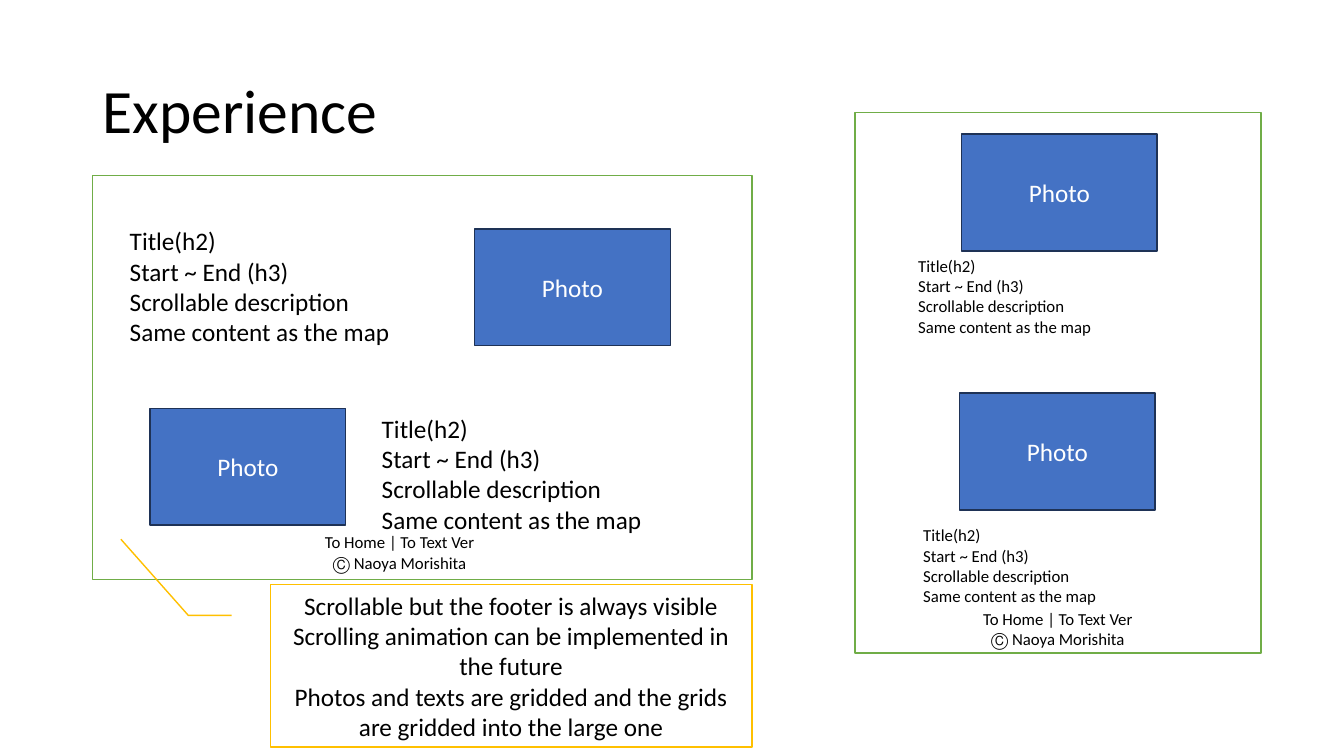
from dataclasses import dataclass

from pptx import Presentation
from pptx.dml.color import RGBColor as Rgb
from pptx.enum.shapes import MSO_SHAPE as Kind
from pptx.enum.text import MSO_ANCHOR as Anchor, MSO_AUTO_SIZE as Fit, PP_ALIGN as Align
from pptx.util import Pt


@dataclass(frozen=True)
class Theme:
    font: str = "Calibri"
    ink: str = "000000"
    paper: str = "FFFFFF"
    green: str = "70AD47"
    blue: str = "4472C4"
    navy: str = "1E3256"
    gold: str = "FFC000"
    head: int = 44
    body: int = 18
    small: int = 12


look = Theme()
ENTRY = ["Title(h2)", "Start ~ End (h3)", "Scrollable description", "Same content as the map"]
FOOTER = ["To Home | To Text Ver", "Ⓒ Naoya Morishita"]
NOTES = [
    "Scrollable but the footer is always visible",
    "Scrolling animation can be implemented in the future",
    "Photos and texts are gridded and the grids are gridded into the large one",
]
PHOTO = (139.7, 83.5)


def apply(item, values):
    for name, value in values.items():
        setattr(item, name, value)


def write(shape, lines, size, color=look.ink, align=Align.LEFT, space=None, **form):
    frame = shape.text_frame
    apply(frame, {"word_wrap": True, **form})
    for i, line in enumerate(lines):
        para = frame.add_paragraph() if i else frame.paragraphs[0]
        apply(para, {"alignment": align, "line_spacing": space})
        run = para.add_run()
        run.text = line
        apply(run.font, {"name": look.font, "size": Pt(size)})
        run.font.color.rgb = Rgb.from_string(color)


def add_text(slide, box, lines, size, **form):
    shape = slide.shapes.add_textbox(*map(Pt, box))
    write(shape, lines, size, **form)


def add_box(slide, box, fill, line, kind=Kind.RECTANGLE):
    shape = slide.shapes.add_shape(kind, *map(Pt, box))
    shape.shadow.inherit = False
    shape.fill.solid()
    shape.fill.fore_color.rgb = Rgb.from_string(fill)
    shape.line.color.rgb = Rgb.from_string(line)
    shape.line.width = Pt(1)
    return shape


def add_photo(slide, box):
    shape = add_box(slide, box, look.blue, look.navy)
    write(shape, ["Photo"], look.body, look.paper, Align.CENTER, vertical_anchor=Anchor.MIDDLE)


def add_screen(slide, box, size, tall, pairs, foot):
    left, top = box[:2]
    add_box(slide, box, look.paper, look.green)
    for (px, py), (tx, ty) in pairs:
        add_photo(slide, (left + px, top + py, *PHOTO))
        add_text(slide, (left + tx, top + ty, 216, tall), ENTRY, size,
                 auto_size=Fit.SHAPE_TO_FIT_TEXT)
    add_text(slide, (left + foot[0], top + foot[1], 216.7, 36), FOOTER, look.small,
             align=Align.CENTER, auto_size=Fit.SHAPE_TO_FIT_TEXT)


def add_note(slide, box):
    shape = add_box(slide, box, look.paper, look.gold, Kind.LINE_CALLOUT_2)
    for i, value in enumerate((0.19, -0.08, 0.19, -0.17, -0.28, -0.31)):
        shape.adjustments[i] = value
    write(shape, NOTES, look.body, align=Align.CENTER, vertical_anchor=Anchor.MIDDLE)


def main():
    deck = Presentation()
    apply(deck, {"slide_width": Pt(960), "slide_height": Pt(540)})
    slide = deck.slides.add_slide(deck.slide_layouts[6])
    add_text(slide, (66.2, 28.8, 828, 104.4), ["Experience"], look.head,
             space=0.9, vertical_anchor=Anchor.MIDDLE)
    add_screen(slide, (66.2, 125.3, 470.9, 288.7), look.body, 94.3,
               [((272.9, 38.2), (19.4, 32.4)), ((41, 166.3), (199.4, 166.3))],
               (110.9, 251.3))
    add_note(slide, (193, 417.6, 344.1, 115.9))
    add_screen(slide, (610.6, 80.6, 290.2, 385.9), look.small, 65.5,
               [((76.3, 15.1), (38.2, 98.6)), ((74.9, 200.2), (41.8, 290.9))],
               (36.7, 350.6))
    deck.save("out.pptx")


if __name__ == "__main__":
    main()
